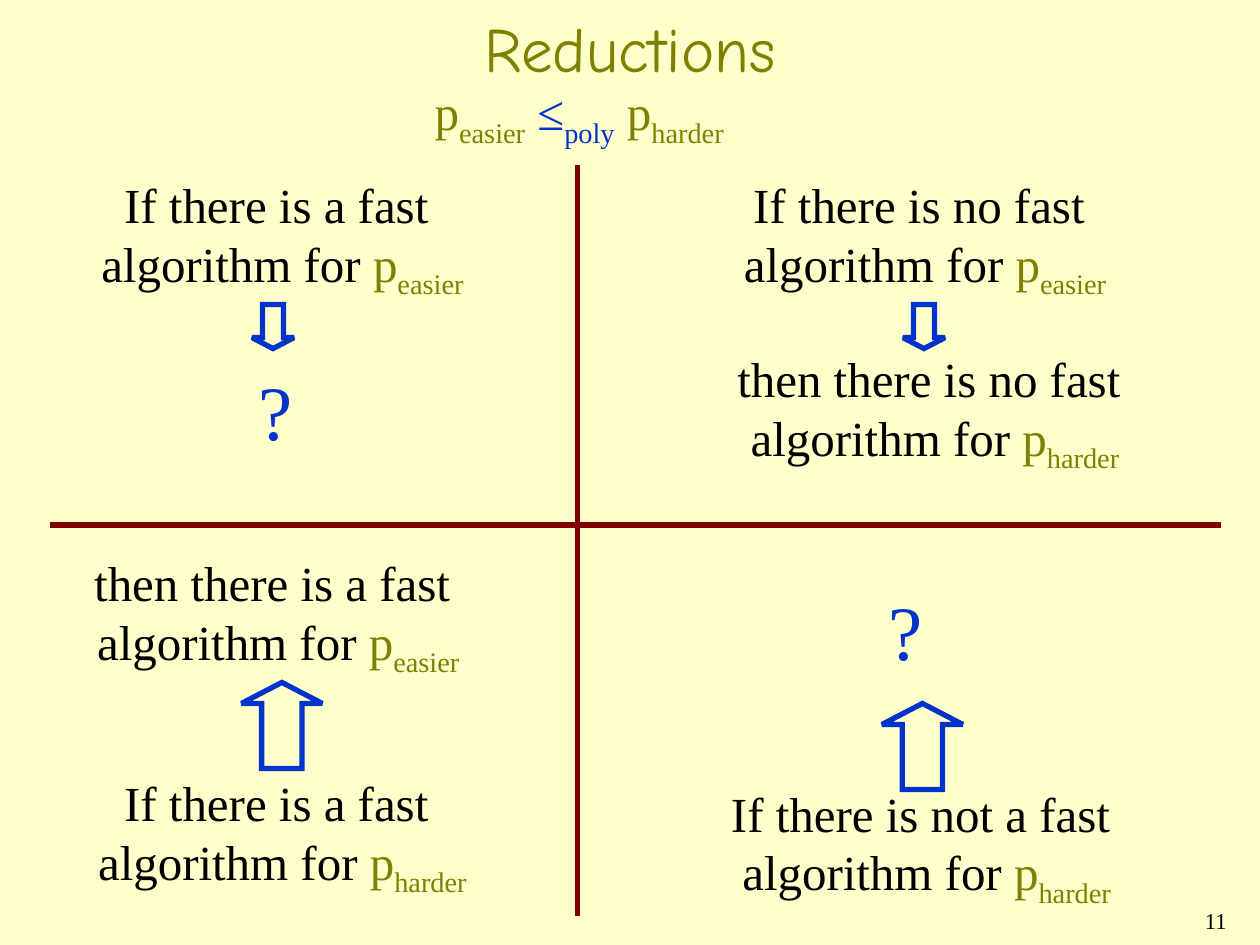
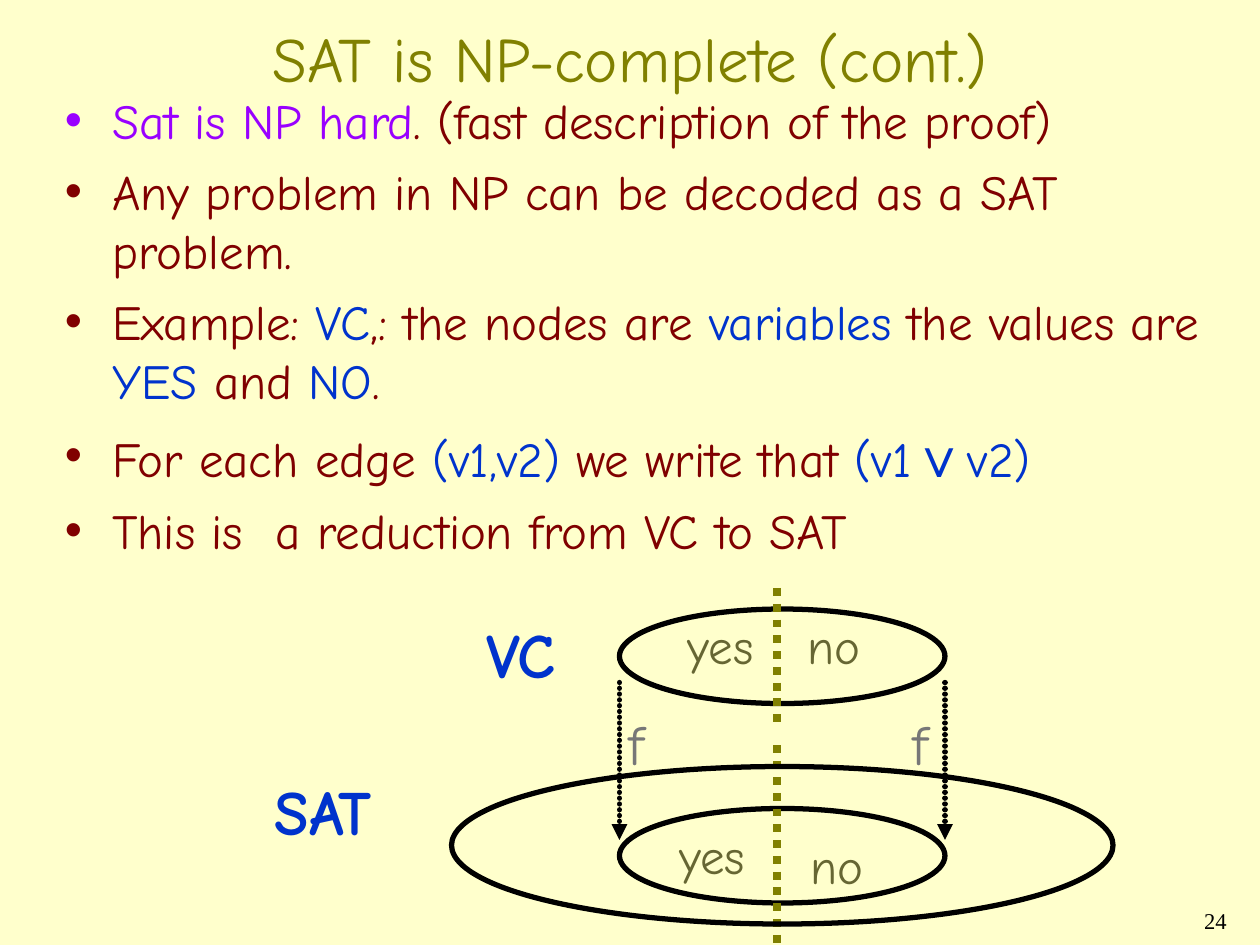
from lxml import etree
from pptx import Presentation
from pptx import util as u
from pptx.dml.color import RGBColor
from pptx.enum import dml, shapes, text
from pptx.oxml import ns

PX = 7620
CREAM, BLACK, OLIVE, BLUE = "FFFFCC", "000000", "808000", "0033CC"
MAROON, PURPLE, MOSS, GRAY = "800000", "9900FF", "666633", "777777"
SERIF, HAND = "Times New Roman", "Comic Neue"
LEFT, CENTER, RIGHT = text.PP_ALIGN.LEFT, text.PP_ALIGN.CENTER, text.PP_ALIGN.RIGHT
SHAPE = shapes.MSO_SHAPE


def px(*lengths):
    """Turn pixel lengths into EMU."""
    return [u.Emu(length * PX) for length in lengths]


def color(value):
    """Turn a hex string into a colour."""
    return RGBColor.from_string(value)


def add_xml(parent, tag, **attributes):
    """Append a DrawingML element."""
    return etree.SubElement(parent, ns.qn(tag), attributes)


def add_run(paragraph, words, size, font, ink, bold=False, subscript=False):
    """Add one formatted run, breaking lines at newlines."""
    for index, line in enumerate(words.split("\n")):
        if index:
            paragraph.add_line_break()
        run = paragraph.add_run()
        run.text = line
        run.font.size, run.font.name, run.font.bold = u.Pt(size), font, bold
        run.font.color.rgb = color(ink)
        if subscript:
            run.font._element.set("baseline", "-25000")


def add_bullet(paragraph, ink):
    """Give a paragraph a hanging round bullet."""
    properties = paragraph._p.get_or_add_pPr()
    indent = 45 * PX
    properties.set("marL", str(indent))
    properties.set("indent", str(-indent))
    add_xml(add_xml(properties, "a:buClr"), "a:srgbClr", val=ink)
    add_xml(properties, "a:buFont", typeface="Arial")
    add_xml(properties, "a:buChar", char="•")


def add_text(slide, box, content, size=28, font=HAND, ink=BLACK, bold=False, align=LEFT,
             inset=12, wrap=False, grow=True, middle=False, before=0, spacing=None,
             bullets=False):
    """Add a text box from a string or from paragraphs of (words, overrides) runs."""
    frame = slide.shapes.add_textbox(*px(*box)).text_frame
    frame.word_wrap = wrap
    frame.auto_size = text.MSO_AUTO_SIZE.SHAPE_TO_FIT_TEXT if grow else text.MSO_AUTO_SIZE.NONE
    frame.margin_left, frame.margin_right = px(inset, inset)
    frame.margin_top, frame.margin_bottom = px(6, 6)
    frame.vertical_anchor = text.MSO_ANCHOR.MIDDLE if middle else text.MSO_ANCHOR.TOP
    paragraphs = [[(content, {})]] if isinstance(content, str) else content
    base = dict(size=size, font=font, ink=ink, bold=bold)
    for index, runs in enumerate(paragraphs):
        paragraph = frame.paragraphs[0] if index == 0 else frame.add_paragraph()
        paragraph.alignment, paragraph.space_before = align, u.Pt(before)
        if spacing:
            paragraph.line_spacing = spacing
        if bullets:
            add_bullet(paragraph, runs[0][1].get("ink", ink))
        for words, overrides in runs:
            add_run(paragraph, words, **{**base, **overrides})


def add_outline(slide, kind, box, ink, adjustments=()):
    """Add an unfilled preset shape with a sharp 3 pt outline."""
    shape = slide.shapes.add_shape(kind, *px(*box))
    shape.shadow.inherit = False
    shape.fill.background()
    shape.line.color.rgb = color(ink)
    shape.line.width = u.Pt(3)
    add_xml(shape.line._get_or_add_ln(), "a:miter", lim="800000")
    for index, value in enumerate(adjustments):
        shape.adjustments[index] = value


def add_line(slide, ends, ink, width=3):
    """Add a straight line and return it."""
    line = slide.shapes.add_connector(shapes.MSO_CONNECTOR.STRAIGHT, *px(*ends))
    line.line.color.rgb = color(ink)
    line.line.width = u.Pt(width)
    add_xml(line._element.spPr, "a:effectLst")
    return line


def add_mapping_arrow(slide, ends):
    """Add an arrow made of closely spaced round dots."""
    outline = add_line(slide, ends, BLACK).line._get_or_add_ln()
    outline.set("cap", "rnd")
    add_xml(add_xml(outline, "a:custDash"), "a:ds", d="100000", sp="10000")
    add_xml(outline, "a:tailEnd", type="triangle")


def add_slide(presentation, title, title_box, number):
    """Add a slide with the shared background, title and page number."""
    slide = presentation.slides.add_slide(presentation.slide_layouts[6])
    slide.background.fill.solid()
    slide.background.fill.fore_color.rgb = color(CREAM)
    add_text(slide, (930, 861, 250, 40), number, size=12.9, font=SERIF, align=RIGHT,
             wrap=True, grow=False, spacing=0.9)
    add_text(slide, title_box, title, size=36, ink=OLIVE, align=CENTER, wrap=True,
             grow=False, middle=True)
    return slide


def problem(name):
    """Return the runs for p with a subscript name."""
    return [("p", dict(ink=OLIVE)), (name, dict(ink=OLIVE, subscript=True))]


def add_claim(slide, box, condition, name, wrap=False):
    """Add a two-line statement about an algorithm for a problem."""
    runs = [(f"{condition} fast \nalgorithm for ", {})] + problem(name)
    add_text(slide, box, [runs], font=SERIF, align=CENTER, inset=36, wrap=wrap)


def build_reductions(presentation):
    """Build the four quadrants of reductions."""
    slide = add_slide(presentation, "Reductions", (90, -30, 1020, 150), "11")
    relation = [(" ≤", dict(ink=BLUE)), ("poly", dict(ink=BLUE, subscript=True)), (" ", {})]
    add_text(slide, (378, 72, 360, 76), [problem("easier") + relation + problem("harder")],
             font=SERIF, inset=36)
    add_claim(slide, (55, 160, 428, 132), "If there is a", "easier")
    add_claim(slide, (47, 520, 436, 132), "then there is a", "easier")
    add_claim(slide, (660, 326, 461, 132), "then there is no", "harder")
    add_claim(slide, (667, 160, 428, 132), "If there is no", "easier")
    add_claim(slide, (52, 730, 434, 132), "If there is a", "harder")
    add_claim(slide, (660, 740, 445, 132), "If there is not a", "harder", wrap=True)
    for left in (240, 860):
        add_outline(slide, SHAPE.DOWN_ARROW, (left, 290, 40, 42), BLUE, (0.5, 0.26))
    for left, top in ((230, 650), (840, 670)):
        add_outline(slide, SHAPE.UP_ARROW, (left, top, 77, 82), BLUE, (0.5, 0.26))
    for left, top in ((210, 340), (810, 550)):
        add_text(slide, (left, top, 110, 101), "?", size=44, font=SERIF, ink=BLUE, inset=36)
    for ends in ((50, 500, 1160, 500), (550, 160, 550, 870)):
        add_line(slide, ends, MAROON).line._get_or_add_ln().set("cap", "sq")


def build_sat(presentation):
    """Build the SAT proof outline and its mapping diagram."""
    slide = add_slide(presentation, "SAT is NP-complete (cont.)", (90, 0, 1020, 110), "24")
    plain, blue = {}, dict(ink=BLUE)
    points = [
        [("Sat is NP hard", dict(ink=PURPLE)), (". (fast description of the proof)", plain)],
        [("Any problem in NP can be decoded as a SAT problem.", plain)],
        [("Example: ", plain), ("VC", blue), (",: the nodes are ", plain), ("variables", blue),
         (" the values are ", plain), ("YES ", blue), ("and ", plain), ("NO", blue),
         (".", plain)],
        [("For each edge ", plain), ("(v1,v2)", blue), (" we write that ", plain),
         ("(v1", blue), ("∨", dict(ink=BLUE, size=32, font="Arial")), ("v2)", blue)],
        [("This is  a reduction from VC to SAT", plain)],
    ]
    add_text(slide, (50, 80, 1120, 460), points, ink=MAROON, wrap=True, grow=False,
             before=7, bullets=True)
    for top in (580, 770):
        add_outline(slide, SHAPE.OVAL, (590, top, 310, 90), BLACK)
    for left in (590, 900):
        add_mapping_arrow(slide, (left, 650, left, 800))
    for top, bottom in ((560, 690), (710, 900)):
        divider = add_line(slide, (740, top, 740, bottom), OLIVE, width=4.5)
        divider.line.dash_style = dml.MSO_LINE.ROUND_DOT
    for word, left, top in (("yes", 643, 580), ("yes", 635, 780),
                            ("no", 757, 580), ("no", 760, 790)):
        add_text(slide, (left, top, 100, 68), word, ink=MOSS, before=7)
    for name, left, top, width in (("VC", 452, 580, 118), ("SAT", 250, 730, 176)):
        add_text(slide, (left, top, width, 84), name, size=36, ink=BLUE, bold=True,
                 wrap=True, before=9)
    for left in (587, 857):
        add_text(slide, (left, 670, 46, 77), "f", size=32, ink=GRAY, before=8)
    add_outline(slide, SHAPE.OVAL, (430, 730, 630, 150), BLACK)


def main():
    """Build and save the presentation."""
    presentation = Presentation()
    presentation.slide_width, presentation.slide_height = px(1200, 900)
    build_reductions(presentation)
    build_sat(presentation)
    presentation.save("out.pptx")


if __name__ == "__main__":
    main()
